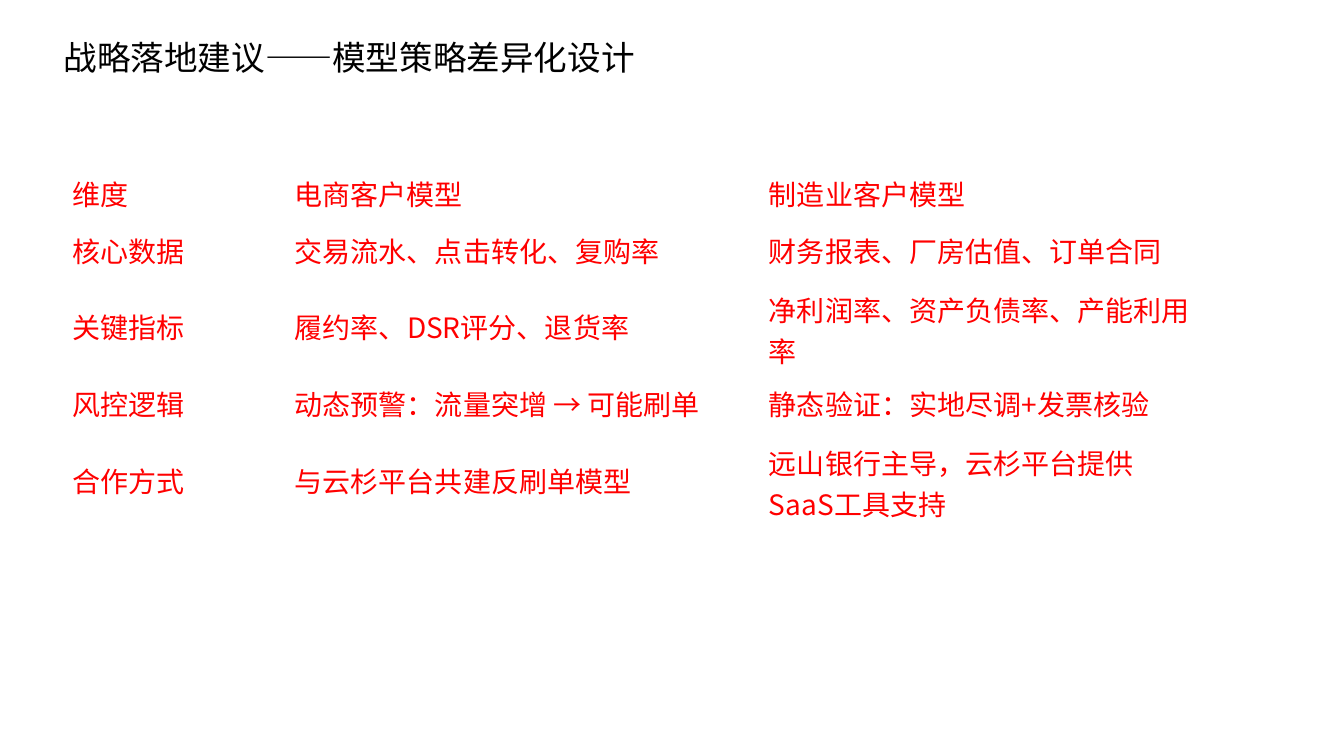
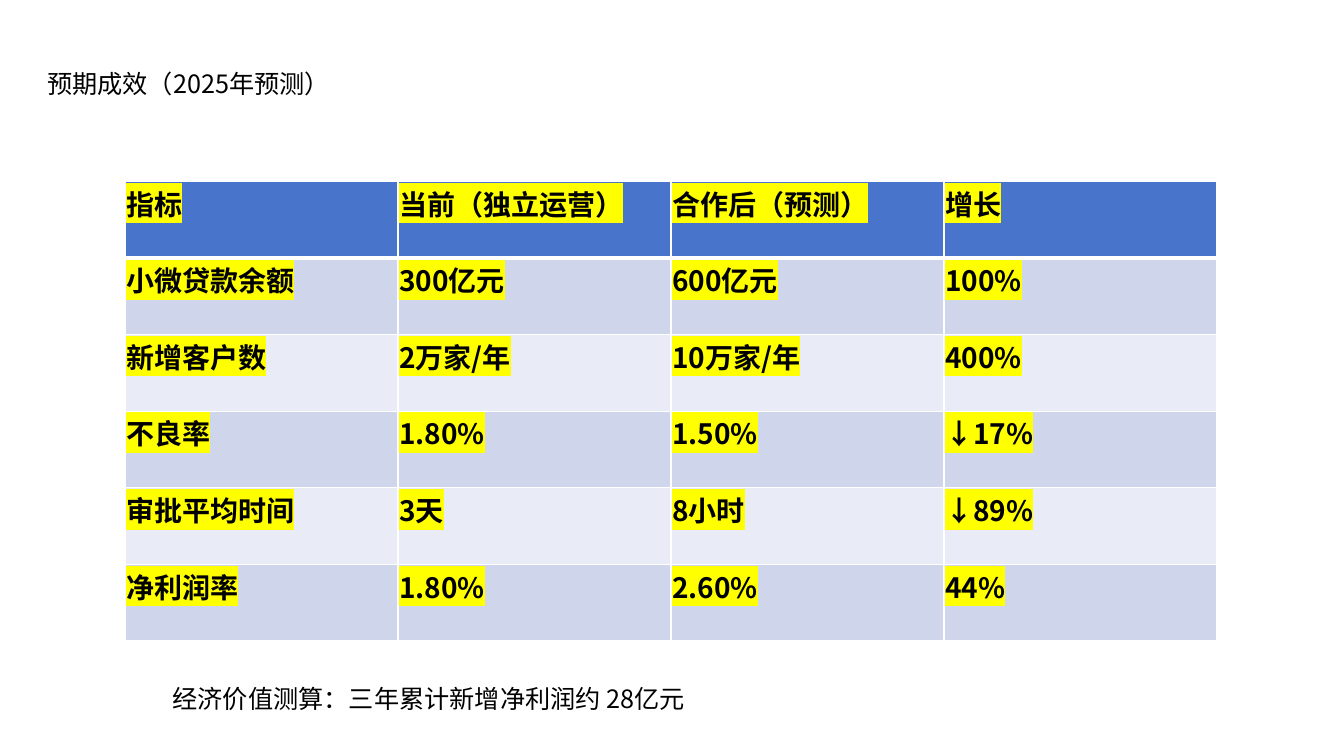
"""Build two slides: a model strategy table and a forecast table."""
from lxml.etree import SubElement
from pptx import Presentation
from pptx.dml.color import RGBColor
from pptx.enum.text import MSO_ANCHOR, MSO_AUTO_SIZE
from pptx.oxml import parse_xml
from pptx.oxml.ns import nsdecls, qn
from pptx.util import Cm, Pt

TEXT_FONT = "Noto Sans CJK JP"
TABLE_FONT = "Noto Sans CJK SC"
BLACK, RED, WHITE, YELLOW = "000000", "FF0000", "FFFFFF", "FFFF00"
HEADER_FILL = "4874CB"
BAND_FILLS = ("CFD6EC", "E9EBF6")
NO_STYLE = "{2D5ABB26-0587-4C30-8999-92F81FD0307C}"
CELL_MARGIN = 0.03
ROW_HEIGHT = 1.93

STRATEGY_TITLE = "战略落地建议——模型策略差异化设计"
STRATEGY_WIDTHS = (5.6, 11.95, 10.8)
STRATEGY_ROWS = [
    ("维度", "电商客户模型", "制造业客户模型"),
    ("核心数据", "交易流水、点击转化、复购率", "财务报表、厂房估值、订单合同"),
    ("关键指标", "履约率、DSR评分、退货率", "净利润率、资产负债率、产能利用率"),
    ("风控逻辑", "动态预警：流量突增 → 可能刷单", "静态验证：实地尽调+发票核验"),
    ("合作方式", "与云杉平台共建反刷单模型", "远山银行主导，云杉平台提供SaaS工具支持"),
]

FORECAST_TITLE = "预期成效（2025年预测）"
FORECAST_WIDTHS = (6.88,) * 4
FORECAST_ROWS = [
    ("指标", "当前（独立运营）", "合作后（预测）", "增长"),
    ("小微贷款余额", "300亿元", "600亿元", "100%"),
    ("新增客户数", "2万家/年", "10万家/年", "400%"),
    ("不良率", "1.80%", "1.50%", "↓17%"),
    ("审批平均时间", "3天", "8小时", "↓89%"),
    ("净利润率", "1.80%", "2.60%", "44%"),
]
FORECAST_NOTE = "经济价值测算：三年累计新增净利润约 28亿元"


def rgb(value):
    """Turn a hex string into a colour."""
    return RGBColor.from_string(value)


def style_run(run, font_name, size, color, bold=False):
    """Set font, size, colour and weight of a run."""
    font = run.font
    font.name, font.size, font.bold = font_name, Pt(size), bold
    font.color.rgb = rgb(color)
    SubElement(run._r.rPr, qn("a:ea"), typeface=font_name)


def highlight_run(run, color):
    """Put a highlight behind a run."""
    highlight = parse_xml(
        f'<a:highlight {nsdecls("a")}><a:srgbClr val="{color}"/></a:highlight>')
    run._r.rPr.find(qn("a:solidFill")).addnext(highlight)


def add_text(slide, text, left, top, width, height, size):
    """Add one line of black text."""
    text_frame = slide.shapes.add_textbox(
        Cm(left), Cm(top), Cm(width), Cm(height)).text_frame
    text_frame.word_wrap = True
    text_frame.auto_size = MSO_AUTO_SIZE.SHAPE_TO_FIT_TEXT
    text_frame.text = text
    style_run(text_frame.paragraphs[0].runs[0], TEXT_FONT, size, BLACK)


def add_table(slide, rows, left, top, widths, heights, anchor, color, bold=False):
    """Add a plain table and return it."""
    frame = slide.shapes.add_table(
        len(rows), len(widths), Cm(left), Cm(top), Cm(sum(widths)), Cm(sum(heights)))
    table = frame.table
    table.first_row = table.horz_banding = False
    table._tbl.tblPr.find(qn("a:tableStyleId")).text = NO_STYLE
    for column, width in zip(table.columns, widths):
        column.width = Cm(width)
    for row, height, texts in zip(table.rows, heights, rows):
        row.height = Cm(height)
        for cell, text in zip(row.cells, texts):
            cell.text = text
            cell.vertical_anchor = anchor
            cell.margin_left = cell.margin_right = cell.margin_top = Cm(CELL_MARGIN)
            cell.margin_bottom = 0
            cell.fill.background()
            style_run(cell.text_frame.paragraphs[0].runs[0], TABLE_FONT, 20, color, bold)
    return table


def set_borders(cell, top, bottom):
    """Draw white borders, with top and bottom widths in points."""
    widths = {"L": 1, "R": 1, "T": top, "B": bottom}
    for index, (side, width) in enumerate(widths.items()):
        cell._tc.tcPr.insert(index, parse_xml(
            f'<a:ln{side} {nsdecls("a")} w="{Pt(width)}"><a:solidFill>'
            f'<a:srgbClr val="{WHITE}"/></a:solidFill></a:ln{side}>'))


def build_strategy(slide):
    """Fill the strategy slide."""
    add_text(slide, STRATEGY_TITLE, 1.35, 0.81, 29.26, 1.27, 24)
    heights = [1] + [ROW_HEIGHT] * (len(STRATEGY_ROWS) - 1)
    add_table(slide, STRATEGY_ROWS, 1.8, 4.32, STRATEGY_WIDTHS, heights,
              MSO_ANCHOR.MIDDLE, RED)


def build_forecast(slide):
    """Fill the forecast slide."""
    add_text(slide, FORECAST_TITLE, 0.94, 1.6, 29.26, 1.02, 18)
    table = add_table(slide, FORECAST_ROWS, 3.15, 4.57, FORECAST_WIDTHS,
                      [ROW_HEIGHT] * len(FORECAST_ROWS), MSO_ANCHOR.TOP, BLACK, True)
    for index, row in enumerate(table.rows):
        fill = BAND_FILLS[(index - 1) % 2] if index else HEADER_FILL
        for cell in row.cells:
            cell.fill.solid()
            cell.fill.fore_color.rgb = rgb(fill)
            set_borders(cell, 3 if index == 1 else 1, 3 if index == 0 else 1)
            highlight_run(cell.text_frame.paragraphs[0].runs[0], YELLOW)
    add_text(slide, FORECAST_NOTE, 4.1, 17.09, 17.78, 1.02, 18)


def main():
    """Build and save the presentation."""
    presentation = Presentation()
    presentation.slide_width, presentation.slide_height = Cm(33.87), Cm(19.05)
    for build in (build_strategy, build_forecast):
        build(presentation.slides.add_slide(presentation.slide_layouts[6]))
    presentation.save("out.pptx")


if __name__ == "__main__":
    main()
